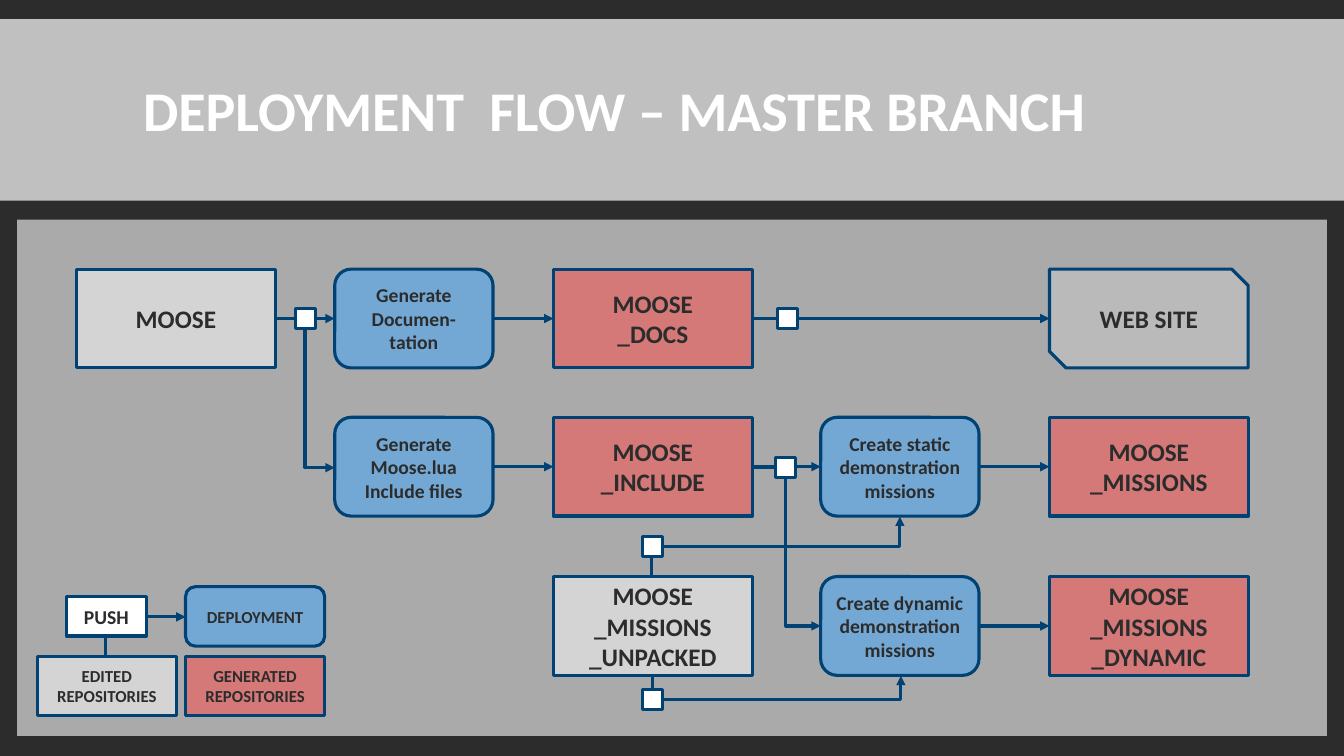
import lxml.etree
import pptx
import pptx.dml.color
import pptx.enum.shapes
import pptx.enum.text
import pptx.oxml.ns
import pptx.util

Inches = pptx.util.Inches
Pt = pptx.util.Pt
qn = pptx.oxml.ns.qn
SHAPE = pptx.enum.shapes.MSO_SHAPE
CONNECTOR = pptx.enum.shapes.MSO_CONNECTOR
ALIGN = pptx.enum.text.PP_ALIGN
ANCHOR = pptx.enum.text.MSO_ANCHOR

DARK, NAVY, WHITE = "2C2C2C", "004274", "FFFFFF"
RED, BLUE, SILVER = "FF4747", "3FA8FF", "CACACA"
TOP, LEFT, BOTTOM, RIGHT = range(4)


def rgb(color):
    return pptx.dml.color.RGBColor.from_string(color)


def add_box(kind, left, top, width, height, color, opacity=100, text="", size=18, outlined=True):
    box = slide.shapes.add_shape(kind, Inches(left), Inches(top), Inches(width), Inches(height))
    box.shadow.inherit = False
    box.fill.solid()
    box.fill.fore_color.rgb = rgb(color)
    if opacity < 100:
        tint = box.element.spPr.find(qn("a:solidFill"))[0]
        lxml.etree.SubElement(tint, qn("a:alpha"), val=str(opacity * 1000))
    if outlined:
        box.line.color.rgb = rgb(NAVY)
        box.line.width = Pt(2.25)
    else:
        box.line.fill.background()
    if text:
        box.text_frame.text = text
        box.text_frame.word_wrap = True
        box.text_frame.vertical_anchor = ANCHOR.MIDDLE
        for paragraph in box.text_frame.paragraphs:
            paragraph.alignment = ALIGN.CENTER
            for run in paragraph.runs:
                run.font.name = "Calibri"
                run.font.size = Pt(size)
                run.font.bold = True
                run.font.color.rgb = rgb(DARK)
    return box


deck = pptx.Presentation()
deck.slide_width, deck.slide_height = Inches(13.33), Inches(7.5)
slide = deck.slides.add_slide(deck.slide_layouts[5])
slide.background.fill.solid()
slide.background.fill.fore_color.rgb = rgb(DARK)

add_box(SHAPE.RECTANGLE, 0, 0.19, 13.33, 1.8, WHITE, 70, outlined=False)
add_box(SHAPE.RECTANGLE, 0.17, 2.18, 12.99, 5.12, WHITE, 60, outlined=False)

heading = slide.shapes.title
heading.left, heading.top = Inches(1.32), Inches(0.31)
heading.width, heading.height = Inches(10.7), Inches(1.65)
heading.text_frame.text = "DEPLOYMENT  FLOW – MASTER BRANCH"
heading.text_frame.auto_size = pptx.enum.text.MSO_AUTO_SIZE.NONE
heading.text_frame.vertical_anchor = ANCHOR.MIDDLE
heading_line = heading.text_frame.paragraphs[0]
heading_line.alignment = ALIGN.LEFT
heading_line.line_spacing = 0.85
heading_font = heading_line.runs[0].font
heading_font.name = "Calibri"
heading_font.size = Pt(40)
heading_font.bold = True
heading_font.color.rgb = rgb(WHITE)
slide.shapes.element.append(heading.element)

rows = [2.67, 4.14, 5.72]
repositories = [
    ("moose", 0.76, 0, WHITE, "MOOSE"),
    ("docs", 5.49, 0, RED, "MOOSE\v_DOCS"),
    ("include", 5.49, 1, RED, "MOOSE\v_INCLUDE"),
    ("unpacked", 5.49, 2, WHITE, "MOOSE\v_MISSIONS\v_UNPACKED"),
    ("website", 10.41, 0, SILVER, "WEB SITE"),
    ("missions", 10.41, 1, RED, "MOOSE\v_MISSIONS"),
    ("dynamic", 10.41, 2, RED, "MOOSE\v_MISSIONS\v_DYNAMIC"),
]
steps = [
    ("make docs", 3.32, 0, "Generate\nDocumen-tation"),
    ("make include", 3.32, 1, "Generate\nMoose.lua\nInclude files"),
    ("make static", 8.14, 1, "Create static demonstration missions"),
    ("make dynamic", 8.14, 2, "Create dynamic demonstration missions"),
]
nodes = {}
for key, left, row, color, text in repositories:
    kind = SHAPE.SNIP_2_DIAG_RECTANGLE if key == "website" else SHAPE.RECTANGLE
    nodes[key] = add_box(kind, left, rows[row], 1.97, 0.98, color, 50, text)
for key, left, row, text in steps:
    nodes[key] = add_box(SHAPE.ROUNDED_RECTANGLE, left, rows[row], 1.57, 0.98, BLUE, 50, text, 14)

legend = [
    (SHAPE.RECTANGLE, 0.37, 6.51, WHITE, "EDITED REPOSITORIES"),
    (SHAPE.RECTANGLE, 1.84, 6.51, RED, "GENERATED\nREPOSITORIES"),
    (SHAPE.ROUNDED_RECTANGLE, 1.84, 5.82, BLUE, "DEPLOYMENT"),
]
for kind, left, top, color, text in legend:
    add_box(kind, left, top, 1.38, 0.59, color, 50, text, 12)

arrows = []
flows = [
    ("moose", "make docs"),
    ("make docs", "docs"),
    ("docs", "website"),
    ("make include", "include"),
    ("include", "make static"),
    ("make static", "missions"),
    ("make dynamic", "dynamic"),
]
for source, target in flows:
    start, end = nodes[source], nodes[target]
    middle = start.top + start.height // 2
    arrow = slide.shapes.add_connector(
        CONNECTOR.STRAIGHT, start.left + start.width, middle, end.left, middle)
    arrow.begin_connect(start, RIGHT)
    if target != "website":
        arrow.end_connect(end, LEFT)
    arrows.append(arrow)

bends = [
    (2.73, 3.16, 3.32, 4.64, 0, "bentConnector3", 0.5),
    (7.45, 4.64, 8.14, 6.21, 0, "bentConnector3", 0.5),
    (7.99, 6.65, 7.4, 4.19, 90, "bentConnector3", 0.5),
    (7.71, 5.47, 7.7, 7.93, 270, "bentConnector3", 25),
    (1.64, 6.71, 1.25, 5.92, 90, "bentConnector2", None),
]
for x1, y1, x2, y2, turn, preset, bend in bends:
    arrow = slide.shapes.add_connector(
        CONNECTOR.ELBOW, Inches(x1), Inches(y1), Inches(x2), Inches(y2))
    if turn:
        arrow.element.spPr.find(qn("a:xfrm")).set("rot", str(turn * 60000))
    geometry = arrow.element.spPr.find(qn("a:prstGeom"))
    geometry.set("prst", preset)
    if bend is not None:
        lxml.etree.SubElement(
            geometry.find(qn("a:avLst")), qn("a:gd"), name="adj1", fmla=f"val {int(bend * 100000)}")
    arrows.append(arrow)

for arrow in arrows:
    arrow.line.color.rgb = rgb(NAVY)
    arrow.line.width = Pt(2.25)
    properties = arrow.element.spPr
    lxml.etree.SubElement(properties.find(qn("a:ln")), qn("a:tailEnd"), type="triangle")
    lxml.etree.SubElement(properties, qn("a:effectLst"))

add_box(SHAPE.RECTANGLE, 0.66, 5.92, 0.79, 0.39, WHITE, text="PUSH", size=14)
for left, top in [(2.93, 3.06), (7.69, 4.54), (7.71, 3.06), (6.37, 5.32), (6.37, 6.84)]:
    add_box(SHAPE.RECTANGLE, left, top, 0.2, 0.2, WHITE)

deck.save("out.pptx")
